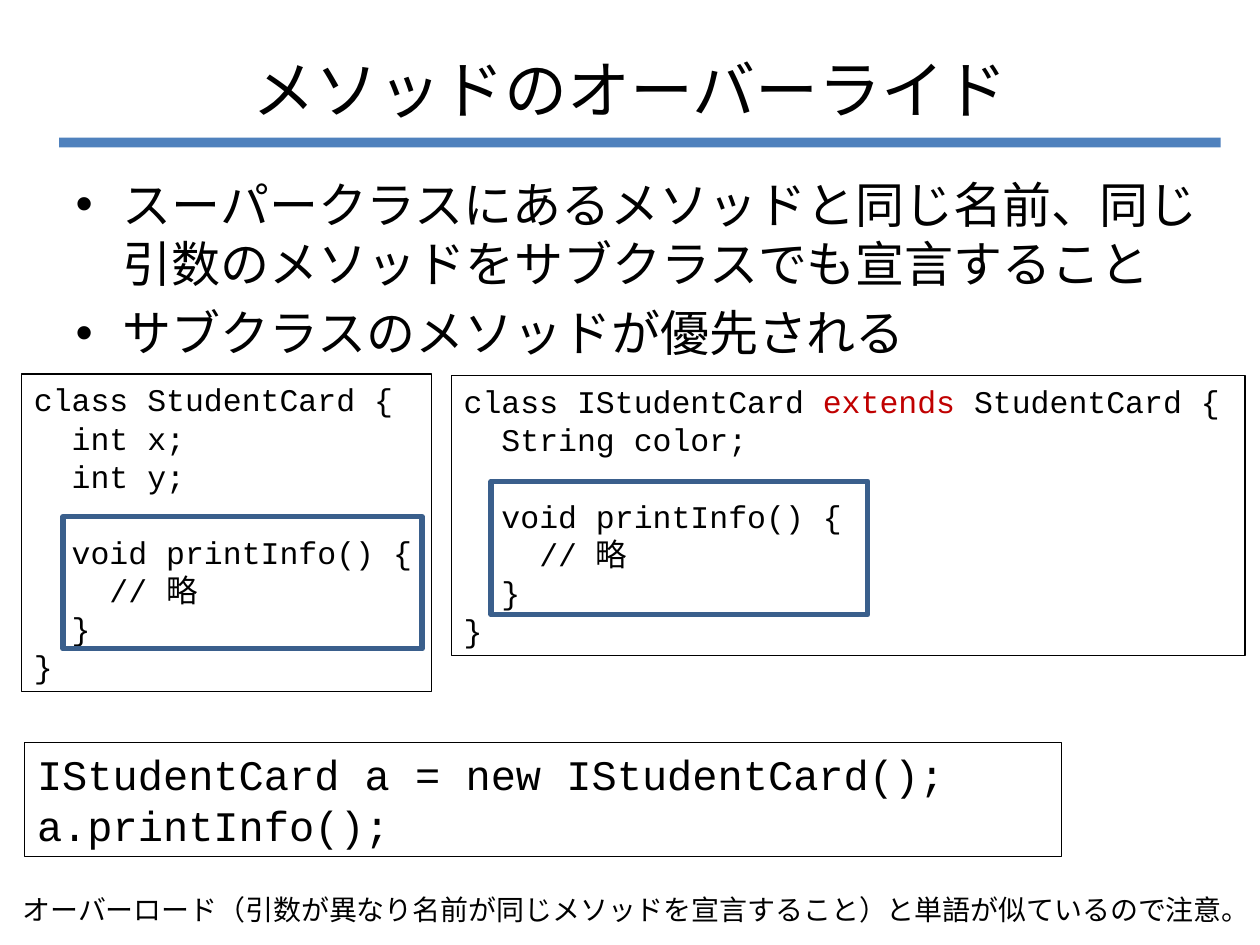
import pptx
import pptx.dml.color
import pptx.enum.shapes
import pptx.enum.text
import pptx.oxml.ns
import pptx.util
from lxml import etree

Pt = pptx.util.Pt
COLORS = {"text": "000000", "keyword": "C00000", "bar": "4F81BD", "frame": "3A5F8C"}
SANS, CODE, JAPANESE = "Arial", "Courier New", "Noto Sans CJK JP"
LINE_HEIGHT = 1.21

TITLE = "メソッドのオーバーライド"
BULLETS = [
    "スーパークラスにあるメソッドと同じ名前、同じ引数のメソッドをサブクラスでも宣言すること",
    "サブクラスのメソッドが優先される",
]
PRINT_METHOD = ["", "  void printInfo() {", "    // 略", "  }", "}"]
KEYWORD = "extends "
NOTE = "オーバーロード（引数が異なり名前が同じメソッドを宣言すること）と単語が似ているので注意。"

# Places are left, top, width, height in points.
TITLE_PLACE = (36, 21.6, 648, 56.9)
BODY_PLACE = (36, 95.8, 667.4, 123.8)
BAR_PLACE = (33.8, 78.7, 663.8, 5.6)
NOTE_PLACE = (5.8, 506.2, 725, 26.6)
CODE_BOXES = [
    ((12.3, 213.7, 234.2, 181.6), 18,
     ["class StudentCard {", "  int x;", "  int y;"] + PRINT_METHOD),
    ((257.9, 214.7, 453.6, 159.8), 18,
     ["class IStudentCard extends StudentCard {", "  String color;"] + PRINT_METHOD),
    ((14.1, 424.1, 592.6, 65.5), 24,
     ["IStudentCard a = new IStudentCard();", "a.printInfo();"]),
]
METHOD_FRAMES = [(36, 295.2, 205.2, 75.6), (280.6, 275, 215.3, 76.3)]


def color(name):
    return pptx.dml.color.RGBColor.from_string(COLORS[name])


def format_text(frame, size, font):
    """Give every run its Latin and Japanese fonts, and every line an even height."""
    frame.word_wrap = True
    frame.auto_size = pptx.enum.text.MSO_AUTO_SIZE.NONE
    for para in frame.paragraphs:
        para.line_spacing = Pt(round(size * LINE_HEIGHT, 2))
        for span in para.runs:
            span.font.size = Pt(size)
            span.font.name = font
            span.font.color.rgb = color("keyword" if span.text == KEYWORD else "text")
            east_asian = etree.Element(pptx.oxml.ns.qn("a:ea"), typeface=JAPANESE)
            span.font._element.find(pptx.oxml.ns.qn("a:latin")).addnext(east_asian)


def fill_placeholder(box, place, text, size, font):
    box.left, box.top, box.width, box.height = map(Pt, place)
    box.text_frame.text = text
    format_text(box.text_frame, size, font)


def add_rectangle(slide, place, fill=None, line=None, line_width=0.75):
    box = slide.shapes.add_shape(
        pptx.enum.shapes.MSO_SHAPE.RECTANGLE, *map(Pt, place))
    box.shadow.inherit = False
    for paint, name in ((box.fill, fill), (box.line.fill, line)):
        if name:
            paint.solid()
            paint.fore_color.rgb = color(name)
        else:
            paint.background()
    if line:
        box.line.width = Pt(line_width)
    return box


def add_code(slide, place, size, lines):
    frame = add_rectangle(slide, place, line="text").text_frame
    frame.vertical_anchor = pptx.enum.text.MSO_ANCHOR.TOP
    frame.text = "\n".join(lines)
    for para in frame.paragraphs:
        para.alignment = pptx.enum.text.PP_ALIGN.LEFT
        before, keyword, after = para.text.partition(KEYWORD)
        if keyword:
            para.text = before
            for part in (keyword, after):
                para.add_run().text = part
    format_text(frame, size, CODE)


def main():
    deck = pptx.Presentation()
    deck.slide_width, deck.slide_height = Pt(720), Pt(540)
    slide = deck.slides.add_slide(deck.slide_layouts[1])

    title, body = slide.placeholders
    fill_placeholder(title, TITLE_PLACE, TITLE, 36, SANS)
    fill_placeholder(body, BODY_PLACE, "\n".join(BULLETS), 28, JAPANESE)
    body.text_frame.paragraphs[0].space_before = Pt(0)
    add_rectangle(slide, BAR_PLACE, fill="bar")

    for place, size, lines in CODE_BOXES:
        add_code(slide, place, size, lines)
    for place in METHOD_FRAMES:
        add_rectangle(slide, place, line="frame", line_width=3)

    note = slide.shapes.add_textbox(*map(Pt, NOTE_PLACE))
    note.text_frame.text = NOTE
    format_text(note.text_frame, 16, SANS)

    deck.save("out.pptx")


if __name__ == "__main__":
    main()
